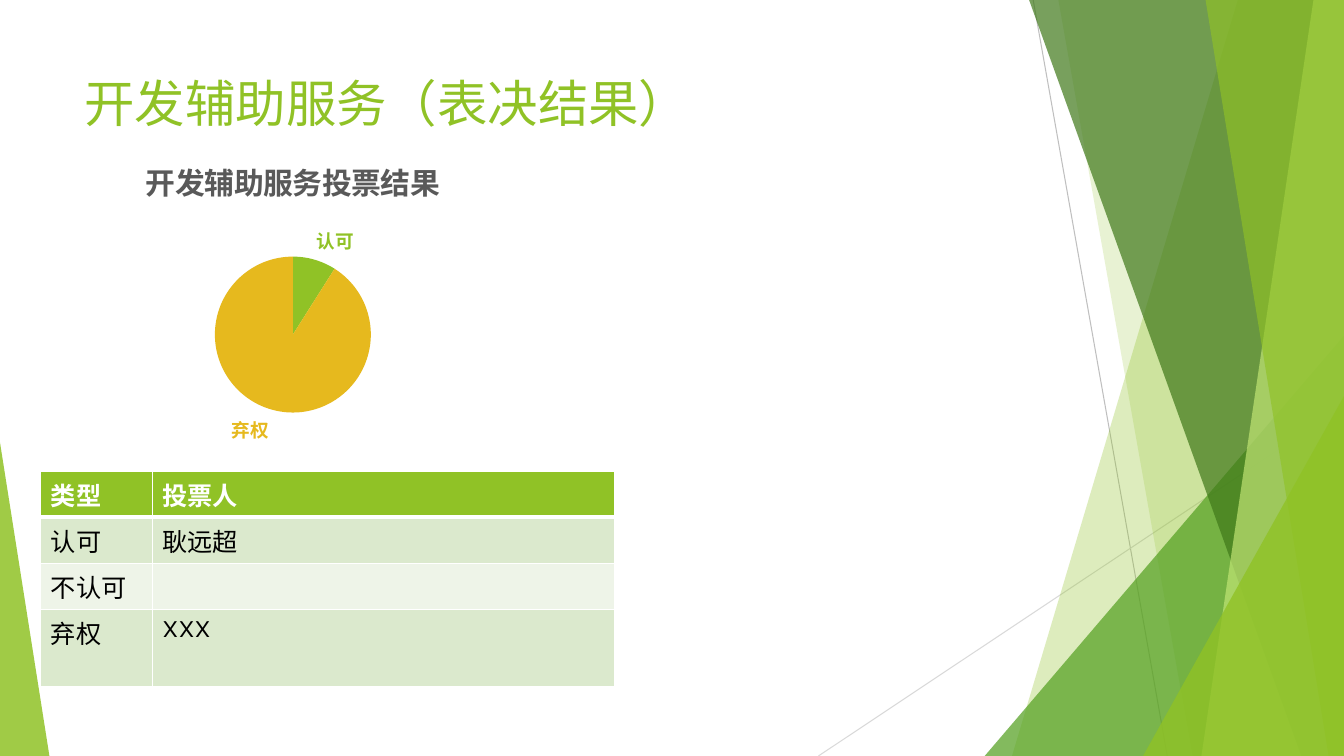
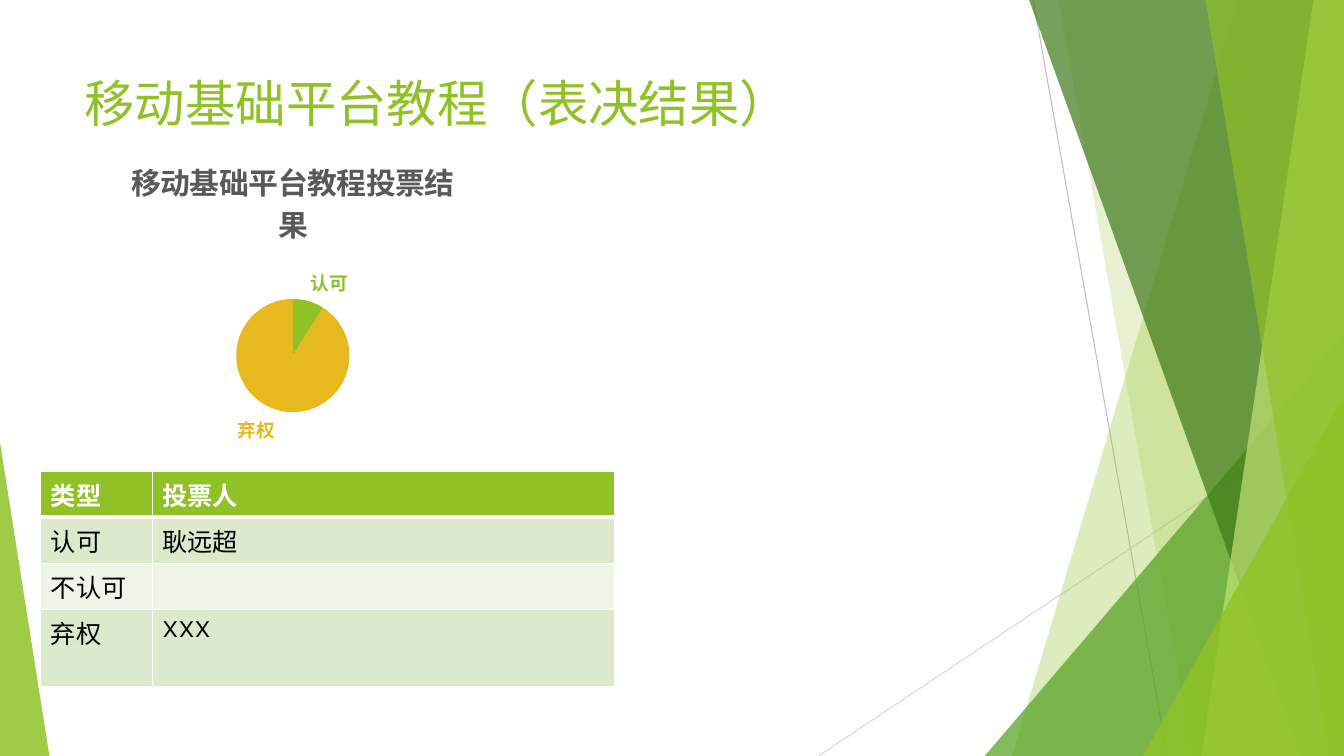
import pptx
import pptx.chart.data
import pptx.dml.color
import pptx.enum.chart
import pptx.enum.shapes
import pptx.oxml
import pptx.oxml.ns
import pptx.oxml.xmlchemy
import pptx.util
from dataclasses import dataclass

Pt = pptx.util.Pt
qn = pptx.oxml.ns.qn
new_element = pptx.oxml.xmlchemy.OxmlElement
SHAPES = pptx.enum.shapes.MSO_SHAPE

TOPICS = ["开发辅助服务", "移动基础平台教程"]
VOTES = {"认可": 9, "不认可": 0, "弃权": 91}
VOTERS = [("类型", "投票人"), ("认可", "耿远超"), ("不认可", ""), ("弃权", "XXX")]


@dataclass(frozen=True)
class Theme:
    font: str = "Karla"
    green: str = "90C226"
    leaf: str = "54A021"
    forest: str = "3F7819"
    lime: str = "C0E474"
    gold: str = "E6B91E"
    white: str = "FFFFFF"
    black: str = "000000"
    gray: str = "595959"
    row_fills: tuple = ("DBE9CD", "EEF4E8")
    title_size: float = 36
    chart_title_size: float = 21.3
    label_size: float = 13.3
    table_size: float = 18


THEME = Theme()
WIDTH, HEIGHT = 960, 540

# Thin lines: start, end, colour
RAYS = [((738, 0), (833.8, HEIGHT), "BFBFBF"), ((WIDTH, 290), (584.6, HEIGHT), "D9D9D9")]
# Back to front. Bands run to the right edge: top x, bottom x, colour, opacity.
# Triangles stand on the bottom edge: left, top, width, apex, colour, opacity.
FACETS = [
    ("band", 884.2, 722.9, THEME.green, 30),
    ("band", 756, 851.8, THEME.green, 20),
    ("triangle", 703.4, 239.8, 256.6, 1, THEME.leaf, 72),
    ("band", 735.1, 929.5, THEME.forest, 70),
    ("band", 938.2, 858.2, THEME.lime, 70),
    ("band", 861.1, 949, THEME.green, 65),
    ("triangle", 816.5, 283, 143.5, 1, THEME.green, 80),
    ("triangle", 0, 316.1, 35.3, 0, THEME.green, 85),
]
TITLE_BOX = (53.3, 48, 676.8, 103.9)
CHART_BOX = (53.3, 100, 311.8, 226.8)
TABLE_LEFT, TABLE_TOP = 29.2, 336.4
COLUMNS = (79.6, 330.4)
ROWS = (33, 33, 33, 55)


def points(*lengths):
    return [Pt(length) for length in lengths]


def rgb(colour):
    return pptx.dml.color.RGBColor.from_string(colour)


def set_font(font, colour, **values):
    for name, value in {"name": THEME.font, **values}.items():
        setattr(font, name, value)
    font.fill.solid()
    font.fill.fore_color.rgb = rgb(colour)


def paint(shape, colour, opacity):
    shape.shadow.inherit = False
    shape.line.fill.background()
    shape.fill.solid()
    shape.fill.fore_color.rgb = rgb(colour)
    for colour_element in shape._element.spPr.iter(qn("a:srgbClr")):
        alpha = new_element("a:alpha")
        alpha.set("val", str(opacity * 1000))
        colour_element.append(alpha)


def add_backdrop(page):
    for start, end, colour in RAYS:
        ray = page.shapes.add_connector(
            pptx.enum.shapes.MSO_CONNECTOR.STRAIGHT, *points(*start, *end))
        ray.line.color.rgb = rgb(colour)
        ray.line.width = Pt(0.75)
        ray._element.spPr.append(new_element("a:effectLst"))
    for kind, *place, colour, opacity in FACETS:
        if kind == "band":
            top, bottom = place
            outline = page.shapes.build_freeform(Pt(top), Pt(0))
            corners = [(WIDTH, 0), (WIDTH, HEIGHT), (bottom, HEIGHT)]
            outline.add_line_segments([points(*corner) for corner in corners])
            facet = outline.convert_to_shape()
        else:
            left, top, width, apex = place
            facet = page.shapes.add_shape(
                SHAPES.ISOSCELES_TRIANGLE, *points(left, top, width, HEIGHT - top))
            facet.adjustments[0] = apex
        paint(facet, colour, opacity)


def add_title(page, text):
    box = page.shapes.add_textbox(*points(*TITLE_BOX))
    box.text_frame.word_wrap = True
    span = box.text_frame.paragraphs[0].add_run()
    span.text = text
    set_font(span.font, THEME.green, size=Pt(THEME.title_size))


def add_vote_chart(page, title):
    data = pptx.chart.data.CategoryChartData()
    data.categories = list(VOTES)
    data.add_series("Series 1", list(VOTES.values()))
    chart = page.shapes.add_chart(
        pptx.enum.chart.XL_CHART_TYPE.PIE, *points(*CHART_BOX), data).chart
    set_font(chart.font, THEME.black, size=Pt(10))
    chart.has_legend = False
    chart.has_title = True
    chart.chart_title.include_in_layout = False
    span = chart.chart_title.text_frame.paragraphs[0].add_run()
    span.text = title
    set_font(span.font, THEME.gray, size=Pt(THEME.chart_title_size), bold=True)

    plot = chart.plots[0]
    plot.vary_by_categories = True
    series = plot.series[0]
    series.data_labels.show_value = False
    slices = zip(VOTES.values(), (THEME.green, THEME.leaf, THEME.gold))
    for index, (votes, colour) in enumerate(slices):
        point = series.points[index]
        point.format.fill.solid()
        point.format.fill.fore_color.rgb = rgb(colour)
        point.format.line.fill.background()
        if votes:
            label = point.data_label
            set_font(label.font, colour, size=Pt(THEME.label_size), bold=True)
            label.position = pptx.enum.chart.XL_LABEL_POSITION.OUTSIDE_END
    for label_element in series._element.iter(qn("c:dLbl")):
        for tag, shown in (("c:showVal", "0"), ("c:showCatName", "1")):
            label_element.find(qn(tag)).set("val", shown)


def set_borders(cell, widths):
    """Draw white borders; widths maps L, R, T and B to points."""
    properties = cell._tc.get_or_add_tcPr()
    for side, width in widths.items():
        border = pptx.oxml.parse_xml(
            f'<a:ln{side} {pptx.oxml.ns.nsdecls("a")} w="{Pt(width)}"><a:solidFill>'
            f'<a:srgbClr val="{THEME.white}"/></a:solidFill></a:ln{side}>')
        properties.append(border)


def add_voter_table(page):
    table = page.shapes.add_table(
        len(ROWS), len(COLUMNS),
        *points(TABLE_LEFT, TABLE_TOP, sum(COLUMNS), sum(ROWS))).table
    table.first_row = table.horz_banding = False
    for column, width in zip(table.columns, COLUMNS):
        column.width = Pt(width)
    for row_index, (row, height) in enumerate(zip(table.rows, ROWS)):
        row.height = Pt(height)
        header = row_index == 0
        fill = THEME.green if header else THEME.row_fills[(row_index - 1) % 2]
        for cell, text in zip(row.cells, VOTERS[row_index]):
            set_borders(cell, {"L": 1, "R": 1, "T": 3 if row_index == 1 else 1,
                               "B": 3 if header else 1})
            cell.fill.solid()
            cell.fill.fore_color.rgb = rgb(fill)
            if text:
                span = cell.text_frame.paragraphs[0].add_run()
                span.text = text
                set_font(span.font, THEME.white if header else THEME.black,
                         size=Pt(THEME.table_size), bold=header)


def main():
    deck = pptx.Presentation()
    deck.slide_width, deck.slide_height = points(WIDTH, HEIGHT)
    for topic in TOPICS:
        page = deck.slides.add_slide(deck.slide_layouts[6])
        add_backdrop(page)
        add_title(page, f"{topic}（表决结果）")
        add_vote_chart(page, f"{topic}投票结果")
        add_voter_table(page)
    deck.save("out.pptx")


if __name__ == "__main__":
    main()
